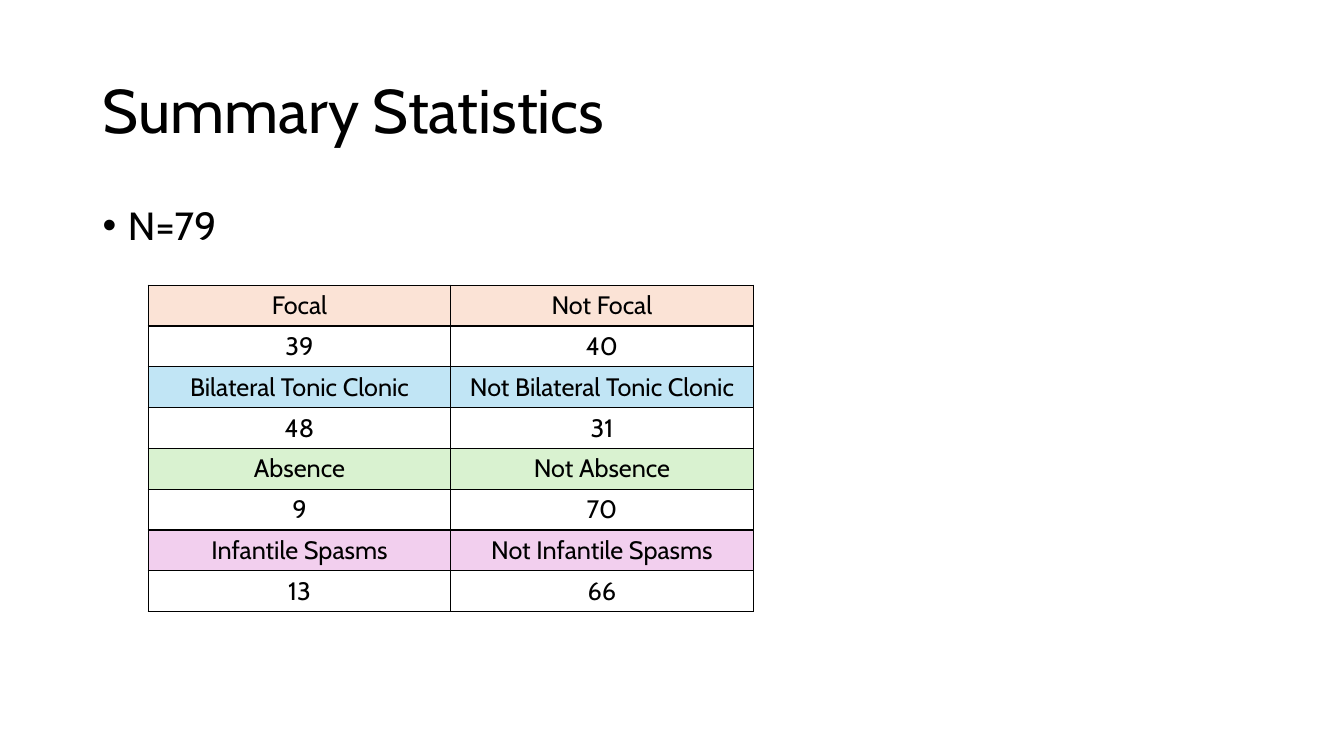
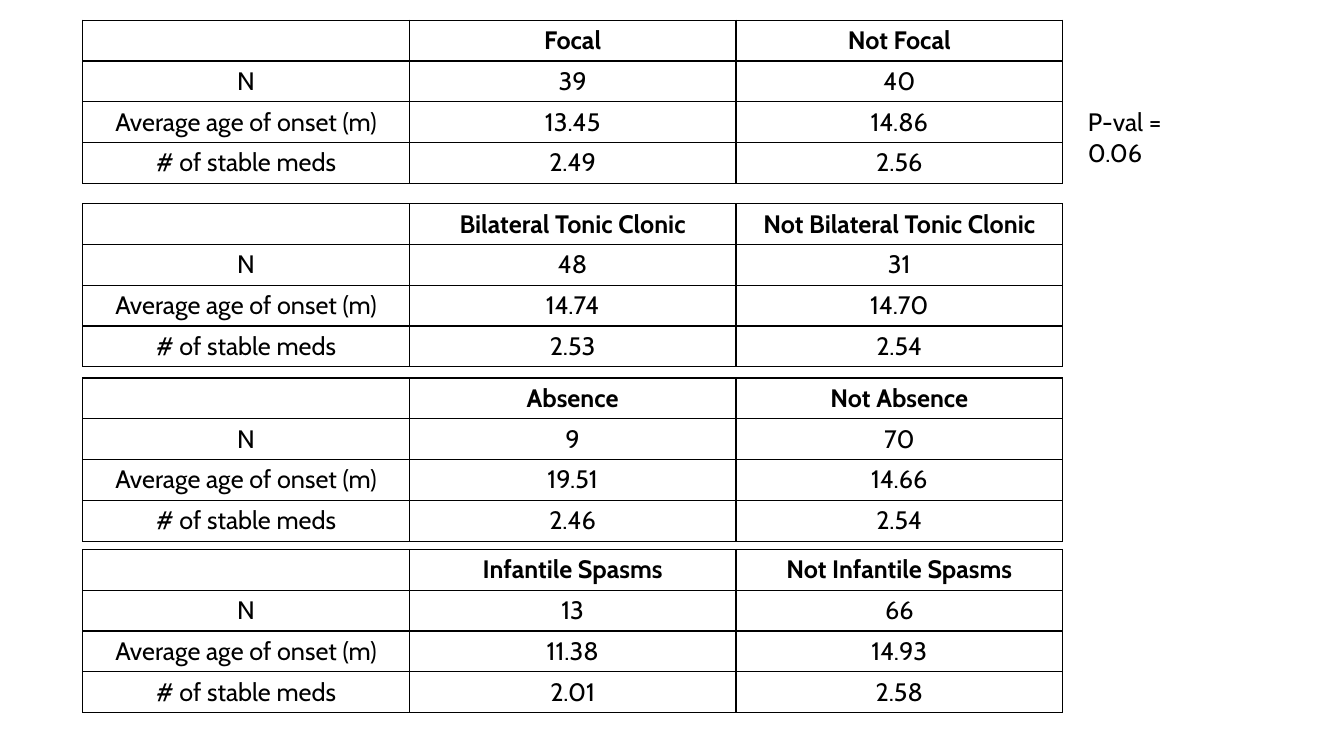
from lxml.etree import SubElement
from pptx import Presentation
from pptx.dml.color import RGBColor
from pptx.enum.text import MSO_ANCHOR as Anchor, PP_ALIGN as Align
from pptx.oxml.ns import qn
from pptx.util import Pt

PX = 9144
FONT = "Cabin"
COLORS = {
    "text": "000000",
    "border": "000000",
    "background": "FFFFFF",
    "Focal": "FBE3D6",
    "Bilateral Tonic Clonic": "C1E5F5",
    "Absence": "D9F2D0",
    "Infantile Spasms": "F2CFEE",
}
TITLE = {"size": Pt(44)}
BODY = {"size": Pt(28)}
REGULAR = {"size": Pt(18), "bold": False}
HEADING = {"size": Pt(18), "bold": True}
SPACED = {"line_spacing": 0.9}
BULLETED = {"line_spacing": 0.9, "space_before": Pt(10)}
CENTERED = {"alignment": Align.CENTER}

MEASURES = ["N", "Average age of onset (m)", "# of stable meds"]
SEIZURES = {
    "Focal": [("39", "40"), ("13.45", "14.86"), ("2.49", "2.56")],
    "Bilateral Tonic Clonic": [("48", "31"), ("14.74", "14.70"), ("2.53", "2.54")],
    "Absence": [("9", "70"), ("19.51", "14.66"), ("2.46", "2.54")],
    "Infantile Spasms": [("13", "66"), ("11.38", "14.93"), ("2.01", "2.58")],
}
TABLE_TOPS = [20, 202, 375, 545]


def px(*lengths):
    return [length * PX for length in lengths]


def color(name):
    return RGBColor.from_string(COLORS[name])


def apply(target, values):
    for name, value in values.items():
        setattr(target, name, value)


def write(paragraph, text, font, layout):
    apply(paragraph, layout)
    run = paragraph.add_run()
    run.text = text
    apply(run.font, {"name": FONT, **font})
    run.font.color.rgb = color("text")


def add_text(slide, box, text, font, layout, anchor=Anchor.TOP):
    frame = slide.shapes.add_textbox(*px(*box)).text_frame
    apply(frame, {"word_wrap": True, "vertical_anchor": anchor})
    paragraph = frame.paragraphs[0]
    write(paragraph, text, font, layout)
    return paragraph


def add_bullet(paragraph, indent):
    properties = paragraph._p.get_or_add_pPr()
    properties.set("marL", str(indent * PX))
    properties.set("indent", str(-indent * PX))
    SubElement(properties, qn("a:buFont"), typeface="Arial")
    SubElement(properties, qn("a:buChar"), char="•")


def add_borders(cell):
    properties = cell._tc.get_or_add_tcPr()
    for position, side in enumerate(("lnL", "lnR", "lnT", "lnB")):
        line = properties.makeelement(qn(f"a:{side}"), {"w": str(Pt(1))})
        fill = SubElement(line, qn("a:solidFill"))
        SubElement(fill, qn("a:srgbClr"), val=COLORS["border"])
        properties.insert(position, line)


def fill_cell(cell, text, font, fill):
    cell.fill.solid()
    cell.fill.fore_color.rgb = color(fill)
    add_borders(cell)
    if text:
        write(cell.text_frame.paragraphs[0], text, font, CENTERED)


def add_table(slide, box, rows):
    frame = slide.shapes.add_table(len(rows), len(rows[0][0]), *px(*box))
    table = frame.table
    apply(table, {"first_row": False, "horz_banding": False})
    for table_row, (texts, font, fill) in zip(table.rows, rows):
        for cell, text in zip(table_row.cells, texts):
            fill_cell(cell, text, font, fill)


def add_slide(presentation):
    return presentation.slides.add_slide(presentation.slide_layouts[6])


def build_summary(presentation):
    slide = add_slide(presentation)
    add_text(slide, (92, 40, 1150, 145), "Summary Statistics", TITLE, SPACED, Anchor.MIDDLE)
    add_bullet(add_text(slide, (92, 200, 1150, 476), "N=79", BODY, BULLETED), 25)
    rows = []
    for seizure, values in SEIZURES.items():
        rows.append(((seizure, f"Not {seizure}"), REGULAR, seizure))
        rows.append((values[0], REGULAR, "background"))
    add_table(slide, (147, 283, 600, 324), rows)


def build_comparison(presentation):
    slide = add_slide(presentation)
    for top, (seizure, values) in zip(TABLE_TOPS, SEIZURES.items()):
        rows = [(("", seizure, f"Not {seizure}"), HEADING, "background")]
        rows += [
            ((measure, *pair), REGULAR, "background")
            for measure, pair in zip(MEASURES, values)
        ]
        add_table(slide, (82, top, 972, 162), rows)
    add_text(slide, (1069, 101, 145, 40), "P-val = 0.06", REGULAR, {})


def main():
    presentation = Presentation()
    presentation.slide_width, presentation.slide_height = px(1333, 750)
    build_summary(presentation)
    build_comparison(presentation)
    presentation.save("out.pptx")


if __name__ == "__main__":
    main()
